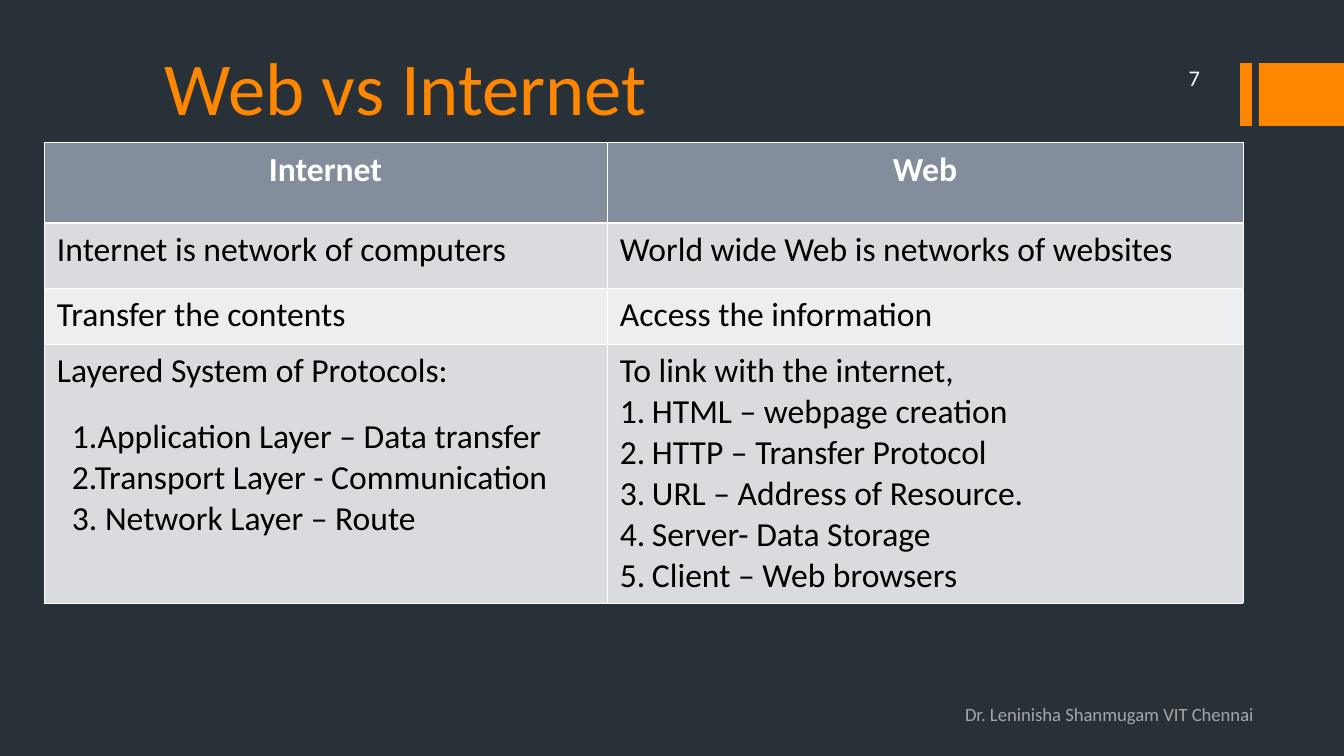
from dataclasses import dataclass

from lxml.etree import SubElement
from pptx import Presentation
from pptx.dml.color import RGBColor
from pptx.enum.shapes import MSO_SHAPE
from pptx.enum.text import MSO_ANCHOR, PP_ALIGN
from pptx.oxml.ns import qn
from pptx.util import Pt

EMU_PER_PX = 914400 / 134.4


@dataclass(frozen=True)
class Theme:
    font: str = "Calibri"
    background: str = "283138"
    accent: str = "FF8600"
    header: str = "838D9B"
    bands: tuple = ("D9DBDE", "EDEEEF")
    white: str = "FFFFFF"
    ink: str = "000000"
    muted: str = "A6A6A6"
    title_size: int = 40
    body_size: int = 18
    number_size: int = 12
    footer_size: int = 10
    thin_line: float = 0.45
    thick_line: float = 1.47


THEME = Theme()

COLUMN_WIDTHS = (563, 636)
ROW_HEIGHTS = (81, 65, 56, 259)
HEADINGS = ("Internet", "Web")
COMPARISONS = (
    ("Internet is network of computers", "World wide Web is networks of websites"),
    ("Transfer the contents", "Access the information"),
    ("Layered System of Protocols:", "To link with the internet,"),
)
LAYERS = (
    "1.Application Layer – Data transfer",
    "2.Transport Layer - Communication",
    "3. Network Layer – Route",
)
WEB_PARTS = (
    "HTML – webpage creation",
    "HTTP – Transfer Protocol",
    "URL – Address of Resource.",
    "Server- Data Storage",
    "Client – Web browsers",
)


def px(length):
    return round(length * EMU_PER_PX)


def rgb(value):
    return RGBColor.from_string(value)


def set_insets(holder, left, top, right, bottom):
    holder.margin_left, holder.margin_top = px(left), px(top)
    holder.margin_right, holder.margin_bottom = px(right), px(bottom)


def write(frame, text, *, size=THEME.body_size, color=THEME.ink, bold=False,
          align=PP_ALIGN.LEFT, indent=0, hanging=0, before=0, numbered=False):
    """Fill the first paragraph of an empty frame, or add another one."""
    para = frame.add_paragraph() if frame.text else frame.paragraphs[0]
    para.alignment = align
    if before:
        para.space_before = Pt(before)
    properties = para._p.get_or_add_pPr()
    properties.set("marL", str(px(indent)))
    properties.set("indent", str(px(-hanging)))
    if numbered:
        SubElement(properties, qn("a:buAutoNum"), type="arabicPeriod")
    span = para.add_run()
    span.text = text
    span.font.name = THEME.font
    span.font.size = Pt(size)
    span.font.bold = bold
    span.font.color.rgb = rgb(color)


def add_text_box(page, box, text, insets, anchor=MSO_ANCHOR.TOP, **text_format):
    frame = page.shapes.add_textbox(*map(px, box)).text_frame
    frame.word_wrap = True
    frame.vertical_anchor = anchor
    set_insets(frame, *insets)
    write(frame, text, **text_format)


def add_accent_bars(page, box):
    """A narrow bar at the left of the box and a wide one to its right edge."""
    left, top, width, height = box
    narrow, gap = 12, 7
    for offset, bar_width in ((0, narrow), (narrow + gap, width - narrow - gap)):
        bar = page.shapes.add_shape(
            MSO_SHAPE.RECTANGLE, *map(px, (left + offset, top, bar_width, height)))
        bar.shadow.inherit = False
        bar.fill.solid()
        bar.fill.fore_color.rgb = rgb(THEME.accent)
        bar.line.fill.background()


def style_cell(cell, fill, top_line, bottom_line):
    properties = cell._tc.get_or_add_tcPr()
    sides = {"L": THEME.thin_line, "R": THEME.thin_line,
             "T": top_line, "B": bottom_line}
    for side, weight in sides.items():
        border = SubElement(properties, qn(f"a:ln{side}"), w=str(Pt(weight)))
        paint = SubElement(border, qn("a:solidFill"))
        SubElement(paint, qn("a:srgbClr"), val=THEME.white)
    cell.fill.solid()
    cell.fill.fore_color.rgb = rgb(fill)
    set_insets(cell, 13, 7, 13, 7)


def add_comparison_table(page, box):
    rows, columns = len(ROW_HEIGHTS), len(COLUMN_WIDTHS)
    table = page.shapes.add_table(rows, columns, *map(px, box)).table
    table.first_row = table.horz_banding = False
    for column, width in zip(table.columns, COLUMN_WIDTHS):
        column.width = px(width)
    for row, height in zip(table.rows, ROW_HEIGHTS):
        row.height = px(height)

    for cell, heading in zip(table.rows[0].cells, HEADINGS):
        style_cell(cell, THEME.header, THEME.thin_line, THEME.thick_line)
        write(cell.text_frame, heading, color=THEME.white, bold=True,
              align=PP_ALIGN.CENTER)
    for index, texts in enumerate(COMPARISONS):
        top_line = THEME.thin_line if index else THEME.thick_line
        for cell, text in zip(table.rows[index + 1].cells, texts):
            style_cell(cell, THEME.bands[index % 2], top_line, THEME.thin_line)
            write(cell.text_frame, text)

    layers_cell, parts_cell = table.rows[rows - 1].cells
    for index, layer in enumerate(LAYERS):
        write(layers_cell.text_frame, layer, indent=15, before=0 if index else 13)
    for part in WEB_PARTS:
        write(parts_cell.text_frame, part, indent=32, hanging=32, numbered=True)


def build_comparison_slide(deck):
    page = deck.slides.add_slide(deck.slide_layouts[6])
    page.background.fill.solid()
    page.background.fill.fore_color.rgb = rgb(THEME.background)
    add_accent_bars(page, (1240, 63, 104, 63))
    add_text_box(page, (134, 8, 1075, 128), "Web vs Internet", (31, 7, 13, 6),
                 MSO_ANCHOR.BOTTOM, size=THEME.title_size, color=THEME.accent)
    add_comparison_table(page, (44, 142, sum(COLUMN_WIDTHS), sum(ROW_HEIGHTS)))
    add_text_box(page, (952, 703, 330, 34), "Dr. Leninisha Shanmugam VIT Chennai",
                 (13, 0, 13, 7), size=THEME.footer_size, color=THEME.muted)
    add_text_box(page, (1075, 61, 138, 34), "7", (13, 7, 13, 7), MSO_ANCHOR.MIDDLE,
                 size=THEME.number_size, color=THEME.white, align=PP_ALIGN.RIGHT)


def main():
    deck = Presentation()
    deck.slide_width, deck.slide_height = px(1344), px(756)
    build_comparison_slide(deck)
    deck.save("out.pptx")


if __name__ == "__main__":
    main()
